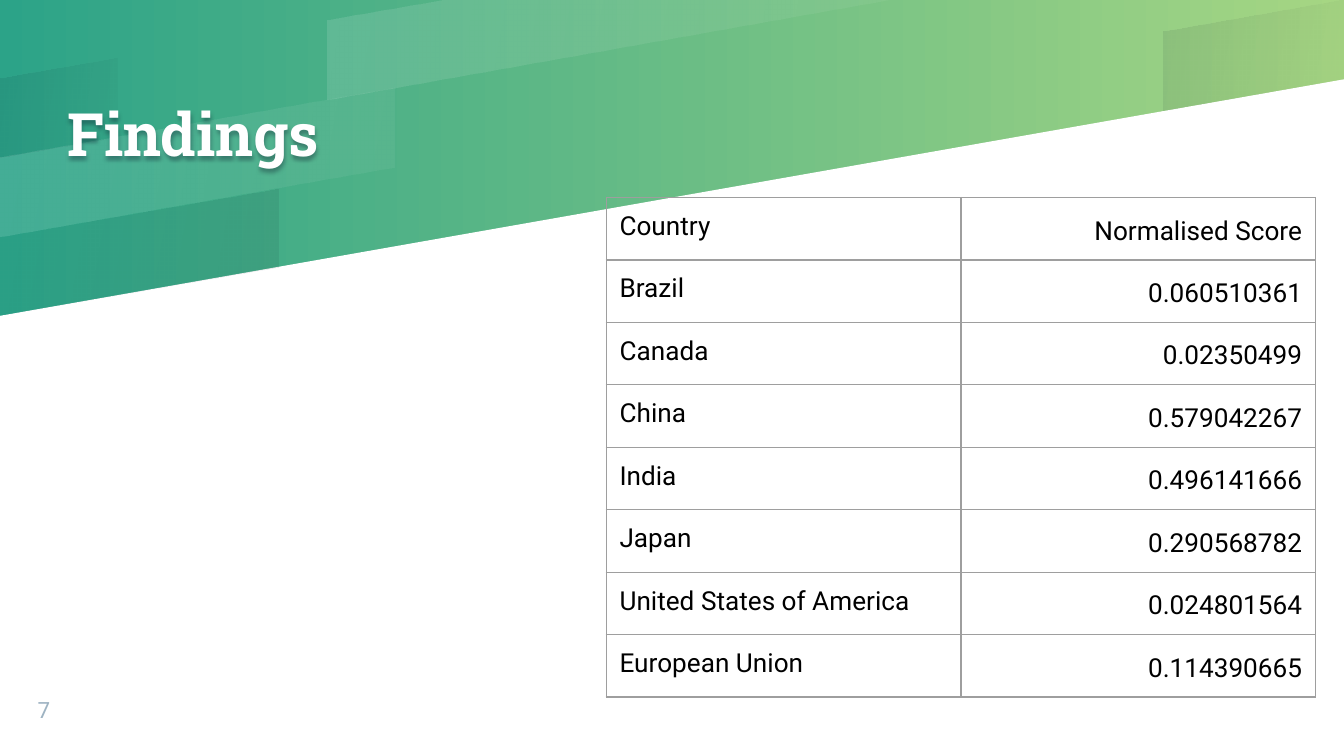
from dataclasses import dataclass

from lxml import etree
from pptx import Presentation
from pptx.dml.color import RGBColor
from pptx.enum.text import MSO_ANCHOR, MSO_AUTO_SIZE, PP_ALIGN
from pptx.oxml import parse_xml
from pptx.oxml.ns import nsdecls, qn
from pptx.util import Emu, Pt

EMU_PER_PX = 4572  # 200 px to the inch
WIDTH, HEIGHT = 2000, 1125
WHITE, SHADE = "FFFFFF", "00001A"


@dataclass(frozen=True)
class Band:
    points: list[tuple[int, int]]
    color: str
    start_opacity: int
    end_opacity: int


BANDS = [
    Band([(664, 0), (487, 30), (487, 148), (1330, 0)], WHITE, 12, 5),
    Band([(0, 116), (0, 234), (175, 204), (175, 86)], SHADE, 8, 2),
    Band([(0, 352), (0, 470), (414, 398), (414, 280)], SHADE, 2, 8),
    Band([(2000, 0), (1998, 0), (1731, 47), (1731, 165), (2000, 118)], SHADE, 8, 2),
    Band([(0, 234), (0, 352), (587, 249), (587, 131)], WHITE, 12, 5),
]

SCORES = [
    ("Country", "Normalised Score"),
    ("Brazil", "0.060510361"),
    ("Canada", "0.02350499"),
    ("China", "0.579042267"),
    ("India", "0.496141666"),
    ("Japan", "0.290568782"),
    ("United States of America", "0.024801564"),
    ("European Union", "0.114390665"),
]


def px(length: int) -> Emu:
    return Emu(length * EMU_PER_PX)


def rgb(color: str) -> RGBColor:
    return RGBColor.from_string(color)


def set_attributes(target, values: dict) -> None:
    for name, value in values.items():
        setattr(target, name, value)


def set_gradient(fill, colors: tuple[str, str], angle: int) -> None:
    fill.gradient()
    fill.gradient_angle = angle
    for stop, color, position in zip(fill.gradient_stops, colors, (0, 1)):
        stop.color.rgb = rgb(color)
        stop.position = position


def draw_polygon(slide, points: list[tuple[int, int]]):
    builder = slide.shapes.build_freeform(*points[0], scale=EMU_PER_PX)
    builder.add_line_segments(points[1:], close=True)
    shape = builder.convert_to_shape()
    shape.shadow.inherit = False
    shape.line.fill.background()
    return shape


def draw_band(slide, band: Band) -> None:
    shape = draw_polygon(slide, band.points)
    set_gradient(shape.fill, (band.color, band.color), 350)
    stops = shape._element.spPr.iter(qn("a:srgbClr"))
    for stop, opacity in zip(stops, (band.start_opacity, band.end_opacity)):
        etree.SubElement(stop, qn("a:alpha"), val=str(opacity * 1000))


def write_text(frame, text: str, font: dict, color: str, paragraph_format: dict) -> None:
    paragraph = frame.paragraphs[0]
    set_attributes(paragraph, paragraph_format)
    run = paragraph.add_run()
    run.text = text
    set_attributes(run.font, font)
    run.font.color.rgb = rgb(color)


def format_box(shape, box: tuple[int, int, int, int], anchor: MSO_ANCHOR) -> None:
    set_attributes(shape, dict(zip(("left", "top", "width", "height"), map(px, box))))
    set_attributes(shape.text_frame, {
        "margin_left": 0, "margin_right": 0, "margin_top": 0, "margin_bottom": 0,
        "word_wrap": True, "auto_size": MSO_AUTO_SIZE.NONE, "vertical_anchor": anchor,
    })


def draw_title(slide, text: str) -> None:
    title = slide.shapes.title
    slide.shapes._spTree.append(title._element)  # bring in front of the bands
    format_box(title, (100, 0, 1200, 396), MSO_ANCHOR.MIDDLE)
    font = {"name": "Roboto Slab", "size": Pt(32), "bold": True}
    write_text(title.text_frame, text, font, WHITE, {"alignment": PP_ALIGN.LEFT})
    title.fill.background()
    title._element.spPr.append(parse_xml(
        f'<a:effectLst {nsdecls("a")}><a:outerShdw blurRad="28575" dist="19050" dir="5400000">'
        f'<a:srgbClr val="{SHADE}"><a:alpha val="30000"/></a:srgbClr></a:outerShdw></a:effectLst>'))


def draw_slide_number(slide, number: str) -> None:
    box = (56, 1022, 106, 54)
    shape = slide.shapes.add_textbox(*map(px, box))
    format_box(shape, box, MSO_ANCHOR.BOTTOM)
    write_text(shape.text_frame, number, {"name": "Roboto", "size": Pt(12)}, "9EB3C2", {})


def set_borders(cell, color: str, width: Pt) -> None:
    properties = cell._tc.get_or_add_tcPr()
    for index, side in enumerate(("lnL", "lnR", "lnT", "lnB")):
        properties.insert(index, parse_xml(
            f'<a:{side} {nsdecls("a")} w="{int(width)}"><a:solidFill>'
            f'<a:srgbClr val="{color}"/></a:solidFill></a:{side}>'))


def draw_table(slide, left: int, top: int, column_width: int, row_height: int) -> None:
    rows, columns = len(SCORES), len(SCORES[0])
    table = slide.shapes.add_table(
        rows, columns, px(left), px(top),
        px(column_width * columns), px(row_height * rows)).table
    set_attributes(table, {"first_row": False, "horz_banding": False})
    margins = dict.fromkeys(
        ("margin_left", "margin_right", "margin_top", "margin_bottom"), px(20))
    column_formats = ({"alignment": PP_ALIGN.LEFT},
                      {"alignment": PP_ALIGN.RIGHT, "line_spacing": 1.15})
    for row, values in enumerate(SCORES):
        for column, (value, paragraph_format) in enumerate(zip(values, column_formats)):
            cell = table.cell(row, column)
            set_attributes(cell, margins)
            cell.fill.background()
            set_borders(cell, "9E9E9E", Pt(0.75))
            write_text(cell.text_frame, value, {"name": "Roboto", "size": Pt(14)},
                       "000000", paragraph_format)


def main() -> None:
    presentation = Presentation()
    set_attributes(presentation, {"slide_width": px(WIDTH), "slide_height": px(HEIGHT)})
    slide = presentation.slides.add_slide(presentation.slide_layouts[5])

    # Gradient header with a slanted white page below it
    set_gradient(slide.background.fill, ("2CA388", "A6D683"), 0)
    page = draw_polygon(slide, [(0, HEIGHT), (WIDTH, HEIGHT), (WIDTH, 118), (0, 470)])
    page.fill.solid()
    page.fill.fore_color.rgb = rgb(WHITE)
    for band in BANDS:
        draw_band(slide, band)

    # Content
    draw_title(slide, "Findings")
    draw_slide_number(slide, "7")
    draw_table(slide, left=902, top=294, column_width=528, row_height=84)

    presentation.save("out.pptx")


if __name__ == "__main__":
    main()
